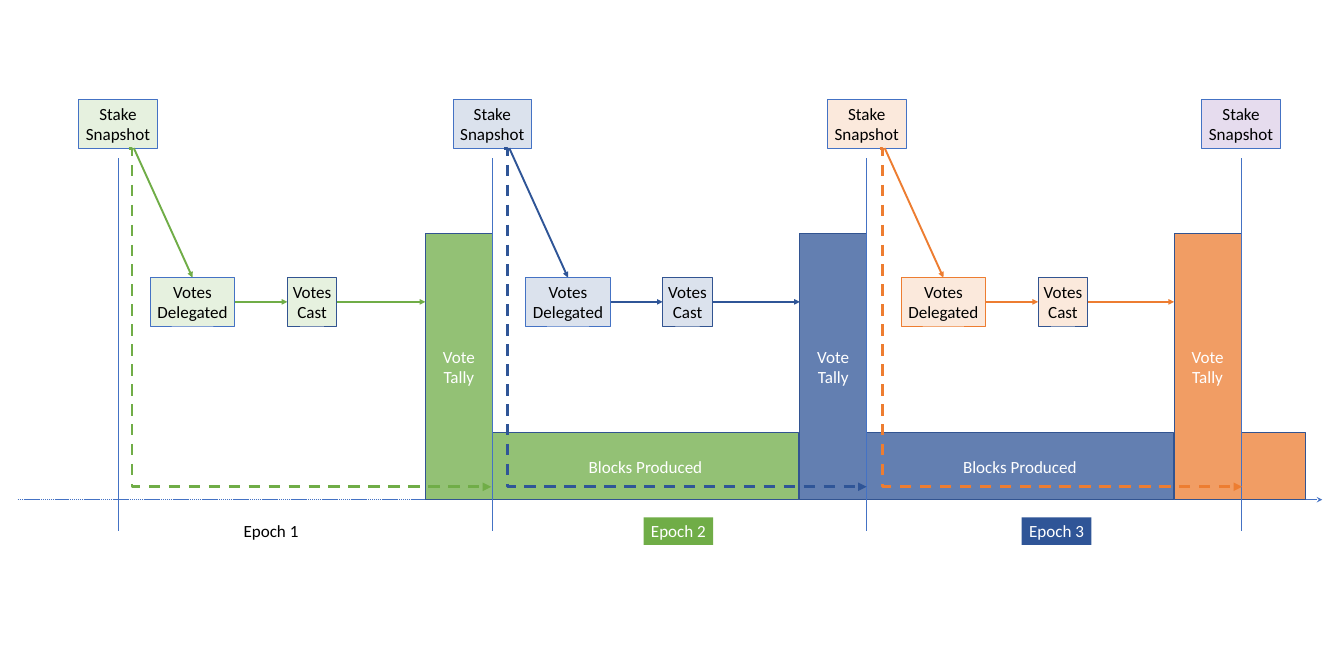
import lxml.etree
import pptx
import pptx.dml.color
import pptx.enum.dml
import pptx.enum.shapes
import pptx.enum.text
import pptx.oxml.ns
import pptx.util

Cm, Pt = pptx.util.Cm, pptx.util.Pt
RECT = pptx.enum.shapes.MSO_SHAPE.RECTANGLE
CONNECTOR = pptx.enum.shapes.MSO_CONNECTOR
DASH = pptx.enum.dml.MSO_LINE
qn = pptx.oxml.ns.qn

COLORS = {"green": "70AD47", "blue": "2F5597", "orange": "ED7D31",
          "purple": "7030A0", "line": "4472C4", "border": "325491",
          "black": "000000", "white": "FFFFFF"}
# label, label left (cm), label fill, label text, epoch colour, delegated border
EPOCHS = [
    ("Epoch 1", 8.79, "white", "black", "green", "line"),
    ("Epoch 2", 23.95, "green", "white", "blue", "line"),
    ("Epoch 3", 38.02, "blue", "white", "orange", "orange"),
]
SNAPSHOTS = ["green", "blue", "orange", "purple"]
BLOCKS = [("Blocks Produced", 11.4, "green"), ("Blocks Produced", 11.4, "blue"),
          ("", 2.41, "orange")]

# Centimetres
FIRST_BOUNDARY, EPOCH_W = 4.39, 13.93
FIRST_VOTES, VOTES_PITCH = 5.59, 13.97
AXIS_Y, TALLY_W, TALLY_H, BLOCK_H = 18.59, 2.49, 9.9, 2.49
STAKE_TOP, STAKE_W, BOX_H = 3.71, 2.92, 1.8
VOTES_TOP, DELEGATED_W, CAST_DX, CAST_W = 10.33, 3.15, 5.1, 1.85
STAKE_BOTTOM = STAKE_TOP + BOX_H
VOTES_MID = VOTES_TOP + BOX_H / 2

prs = pptx.Presentation()
prs.slide_width, prs.slide_height = Cm(50.01), Cm(25)
s = prs.slides.add_slide(prs.slide_layouts[6])


def rgb(name):
    return pptx.dml.color.RGBColor.from_string(COLORS[name])


def box(text, x, y, w, h, fill, border=None, weight=0.75, opacity=100,
        color="black"):
    sp = s.shapes.add_shape(RECT, Cm(x), Cm(y), Cm(w), Cm(h))
    sp.shadow.inherit = False
    sp.fill.solid()
    sp.fill.fore_color.rgb = rgb(fill)
    if opacity < 100:
        clr = sp.fill._xPr.find(".//" + qn("a:srgbClr"))
        lxml.etree.SubElement(clr, qn("a:alpha"), val=str(opacity * 1000))
    if border:
        sp.line.color.rgb = rgb(border)
        sp.line.width = Pt(weight)
    else:
        sp.line.fill.background()
    if text:
        tf = sp.text_frame
        tf.word_wrap = False
        tf.vertical_anchor = pptx.enum.text.MSO_ANCHOR.MIDDLE
        p = tf.paragraphs[0]
        p.text = text
        p.alignment = pptx.enum.text.PP_ALIGN.CENTER
        p.font.name, p.font.size = "Calibri", Pt(18)
        p.font.color.rgb = rgb(color)


def line(x1, y1, x2, y2, color, weight, head=None, dash=None,
         kind=CONNECTOR.STRAIGHT):
    c = s.shapes.add_connector(kind, Cm(x1), Cm(y1), Cm(x2), Cm(y2))
    c.line.color.rgb = rgb(color)
    c.line.width = Pt(weight)
    if dash:
        c.line.dash_style = dash
    if head:
        lxml.etree.SubElement(c.line._get_or_add_ln(), qn("a:tailEnd"), type=head)
    lxml.etree.SubElement(c._element.spPr, qn("a:effectLst"))
    return c


def boundary(i):
    return FIRST_BOUNDARY + i * EPOCH_W


line(0.66, AXIS_Y, 49.2, AXIS_Y, "line", 0.5, "stealth", DASH.SQUARE_DOT)

for i, (label, x, fill, ink, color, _) in enumerate(EPOCHS):
    box(label, x, 19.25, 2.59, 1.02, fill, color=ink)
    box("Vote\nTally", boundary(i + 1) - TALLY_W, AXIS_Y - TALLY_H, TALLY_W,
        TALLY_H, color, "border", 1, 75, "white")

for i, (text, w, color) in enumerate(BLOCKS, 1):
    box(text, boundary(i), AXIS_Y - BLOCK_H, w, BLOCK_H, color, "border", 1, 75,
        "white")

for i, color in enumerate(SNAPSHOTS):
    x = boundary(i)
    line(x, 5.89, x, 19.76, "line", 0.5)
    box("Stake\nSnapshot", x - STAKE_W / 2, STAKE_TOP, STAKE_W, BOX_H, color,
        "line", opacity=17)

for i, (*_, color, border) in enumerate(EPOCHS):
    x = FIRST_VOTES + i * VOTES_PITCH
    tally_x = boundary(i + 1) - TALLY_W
    line(x - 0.61, STAKE_BOTTOM, x + DELEGATED_W / 2, VOTES_TOP, color, 2,
         "triangle")
    line(x + DELEGATED_W, VOTES_MID, x + CAST_DX, VOTES_MID, color, 2, "triangle")
    line(x + CAST_DX + CAST_W, VOTES_MID, tally_x, VOTES_MID, color, 2, "triangle")
    box("Votes\nDelegated", x, VOTES_TOP, DELEGATED_W, BOX_H, color, border,
        opacity=17)
    box("Votes\nCast", x + CAST_DX, VOTES_TOP, CAST_W, BOX_H, color, "border", 1,
        17)

for i, (*_, color, _) in enumerate(EPOCHS):
    x = FIRST_VOTES + i * VOTES_PITCH - 0.8
    c = line(x, STAKE_BOTTOM, x + 13.49, 18.11, color, 3, "triangle", DASH.DASH,
             CONNECTOR.ELBOW)
    guides = c._element.spPr.find(".//" + qn("a:avLst"))
    lxml.etree.SubElement(guides, qn("a:gd"), name="adj1", fmla="val 940")

prs.save("out.pptx")
